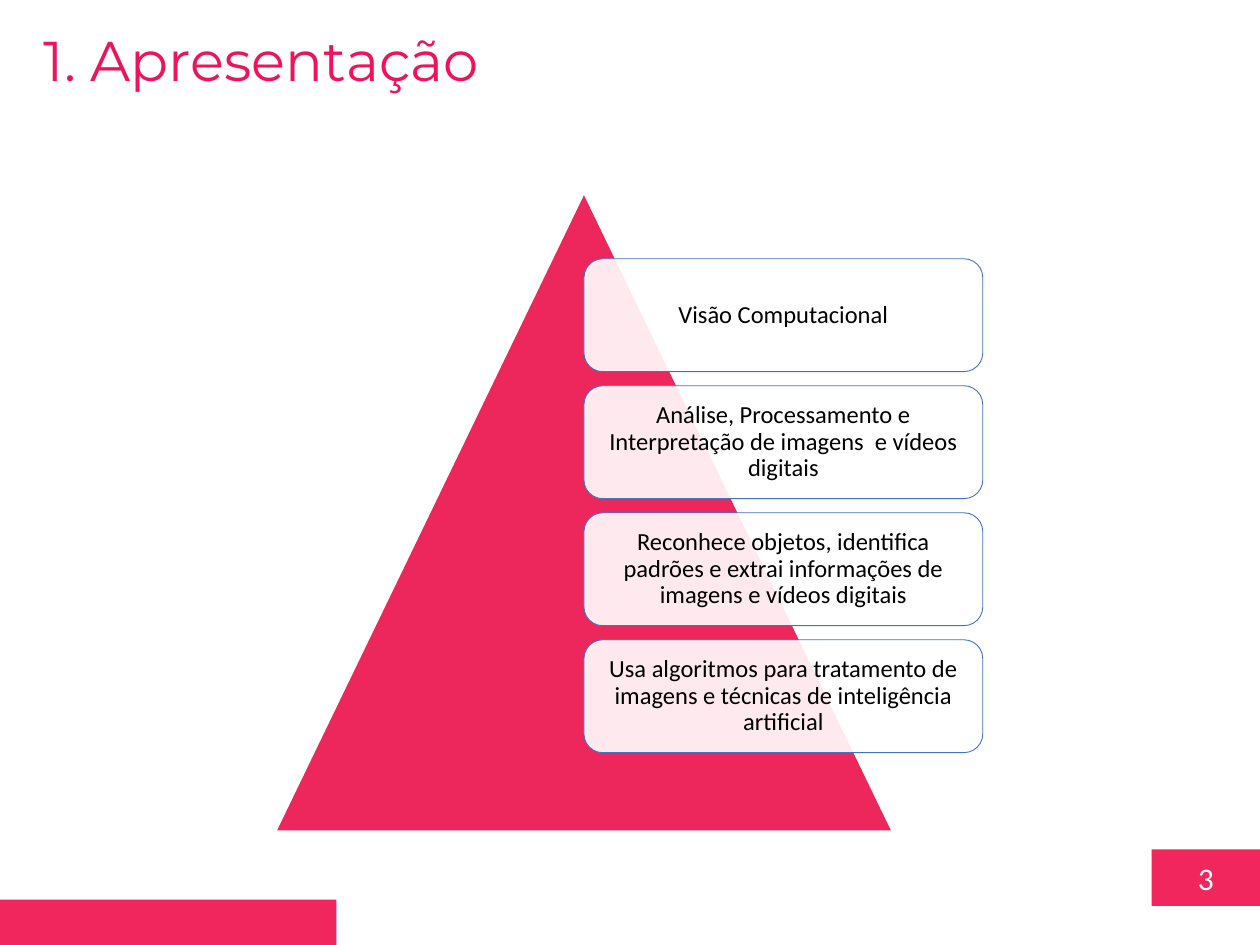
from lxml.etree import SubElement
from pptx import Presentation
from pptx.dml.color import RGBColor
from pptx.enum.shapes import MSO_SHAPE as SHAPE
from pptx.enum.text import MSO_ANCHOR as ANCHOR, PP_ALIGN as ALIGN
from pptx.oxml.ns import qn
from pptx.util import Inches, Pt

COLORS = {
    "band": "F0265D",
    "pyramid": "ED265B",
    "title": "ED145B",
    "outline": "4472C4",
    "white": "FFFFFF",
    "black": "000000",
}
TOPICS = [
    "Visão Computacional",
    "Análise, Processamento e Interpretação de imagens  e vídeos digitais",
    "Reconhece objetos, identifica padrões e extrai informações de imagens e vídeos digitais",
    "Usa algoritmos para tratamento de imagens e técnicas de inteligência artificial",
]


def rgb(name):
    return RGBColor.from_string(COLORS[name])


def add_text(sp, text, size, color, font="Calibri", align=ALIGN.CENTER,
             anchor=ANCHOR.MIDDLE, inset=None, spacing=None):
    tf = sp.text_frame
    tf.word_wrap = True
    tf.vertical_anchor = anchor
    if inset is not None:
        tf.margin_left = tf.margin_right = Inches(inset)
        tf.margin_top = tf.margin_bottom = Inches(inset)
    p = tf.paragraphs[0]
    p.alignment = align
    if spacing:
        p.line_spacing = spacing
    r = p.add_run()
    r.text = text
    r.font.name = font
    r.font.size = Pt(size)
    r.font.color.rgb = rgb(color)


def add_block(shapes, kind, x, y, w, h, fill, line=None, opacity=None):
    sp = shapes.add_shape(kind, Inches(x), Inches(y), Inches(w), Inches(h))
    sp.shadow.inherit = False
    sp.fill.solid()
    sp.fill.fore_color.rgb = rgb(fill)
    if opacity is not None:
        clr = sp.fill._xPr.find(qn("a:solidFill"))[0]
        SubElement(clr, qn("a:alpha")).set("val", str(opacity * 1000))
    if line:
        sp.line.color.rgb = rgb(line)
        sp.line.width = Pt(0.5)
    else:
        sp.line.fill.background()
    return sp


def add_title(s, x, y, w, h):
    sp = s.shapes.add_textbox(Inches(x), Inches(y), Inches(w), Inches(h))
    add_text(sp, "1. Apresentação", 32, "title", font="Montserrat",
             align=ALIGN.LEFT, anchor=ANCHOR.TOP)


def add_footer(s, w, h):
    number = add_block(s.shapes, SHAPE.RECTANGLE, w - 0.86, h - 0.76, 0.86, 0.45, "band")
    add_text(number, "3", 18, "white")
    add_block(s.shapes, SHAPE.RECTANGLE, 0, h - 0.36, 2.67, 0.36, "band")


def add_pyramid(s, x, y, w, h):
    group = s.shapes.add_group_shape()
    add_block(group.shapes, SHAPE.ISOSCELES_TRIANGLE, x, y, w, h, "pyramid")
    card_h = 0.8 * h / len(TOPICS) * 8 / 9
    pitch = card_h * 9 / 8
    for i, topic in enumerate(TOPICS):
        card = add_block(group.shapes, SHAPE.ROUNDED_RECTANGLE, x + w / 2,
                         y + 0.1 * h + i * pitch, 0.65 * w, card_h,
                         "white", line="outline", opacity=90)
        add_text(card, topic, 14, "black", inset=0.06, spacing=0.9)


def main():
    prs = Presentation()
    prs.slide_width, prs.slide_height = Inches(10), Inches(7.5)
    s = prs.slides.add_slide(prs.slide_layouts[6])
    add_footer(s, 10, 7.5)
    add_title(s, 0.25, 0.15, 8.77, 0.64)
    add_pyramid(s, 2.2, 1.55, 4.87, 5.04)
    prs.save("out.pptx")


if __name__ == "__main__":
    main()
